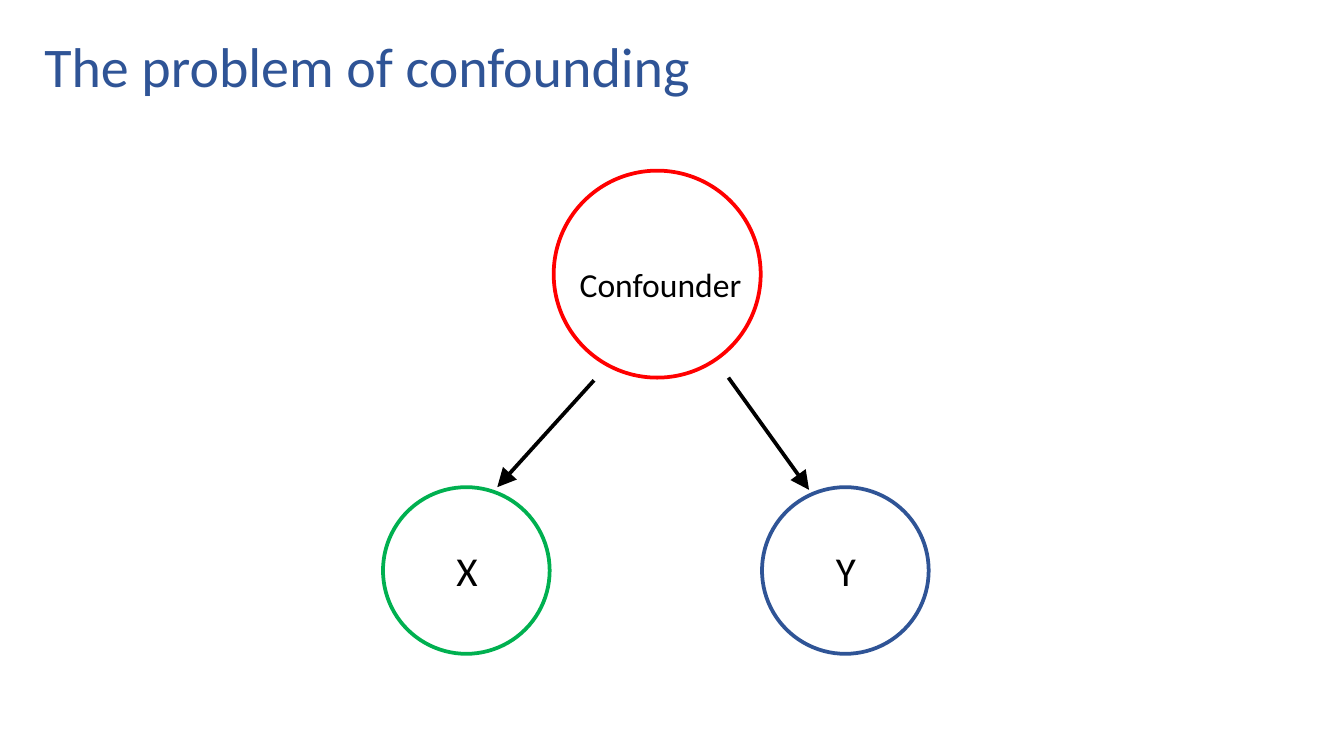
from pptx import Presentation
from pptx.dml.color import RGBColor
from pptx.enum.shapes import MSO_CONNECTOR, MSO_SHAPE
from pptx.enum.text import MSO_ANCHOR, PP_ALIGN
from pptx.oxml.ns import qn
from pptx.util import Inches, Pt
from lxml import etree

ELLIPSE, STRAIGHT = MSO_SHAPE.OVAL, MSO_CONNECTOR.STRAIGHT
LEFT, CENTER = PP_ALIGN.LEFT, PP_ALIGN.CENTER
TOP = MSO_ANCHOR.TOP

SLIDE_WIDTH = Inches(10)
SLIDE_HEIGHT = SLIDE_WIDTH * 9 // 16
CELL = SLIDE_WIDTH // 100
FONT = "Calibri"
BLACK, BLUE, GREEN, RED = "000000", "2F5496", "00B050", "FF0000"
STROKE = 2

TITLE_BOX = (2.3, 1.9, 93.2, 6.3)
DIAGRAM_BOX = (28.5, 12.7, 40.6, 35.95)
VARIABLE_SIZE, CONFOUNDER_SIZE = 12.4, 15.4
VARIABLE_LABEL = (1.1, 3.6, 10.3, 5.9)
CONFOUNDER_LABEL = (-1.6, 6.25, 19.1, 4.3)


def grid(*cells):
    """Turn grid cells into slide lengths."""
    return [round(cell * CELL) for cell in cells]


def color(hex_code):
    """Return the colour for a hex string."""
    return RGBColor.from_string(hex_code)


def write(frame, wording, size, ink, align, spacing, margins):
    """Write one formatted line into a text frame."""
    frame.word_wrap = True
    frame.vertical_anchor = TOP
    frame.margin_left = frame.margin_right = Inches(margins[0])
    frame.margin_top = frame.margin_bottom = Inches(margins[1])
    line = frame.paragraphs[0]
    line.alignment, line.line_spacing = align, spacing
    line.space_before = Pt(0)
    run = line.add_run()
    run.text = wording
    run.font.name, run.font.size = FONT, Pt(size)
    run.font.color.rgb = color(ink)


def add_title(slide, box, wording):
    """Place the slide title in its box."""
    title = slide.shapes.title
    title.left, title.top, title.width, title.height = grid(*box)
    write(title.text_frame, wording, 30, BLUE, LEFT, 0.9, (0.1, 0.1))


def add_node(slide, left, top, diameter, ring, label_box, wording, size):
    """Draw a ringed node with its label placed relative to the ring."""
    circle = slide.shapes.add_shape(ELLIPSE, *grid(left, top, diameter, diameter))
    circle.shadow.inherit = False
    circle.fill.background()
    circle.line.color.rgb = color(ring)
    circle.line.width = Pt(STROKE)
    dx, dy, width, height = label_box
    label = slide.shapes.add_textbox(*grid(left + dx, top + dy, width, height))
    write(label.text_frame, wording, size, BLACK, CENTER, 1.1, (0.07, 0.04))


def add_arrow(slide, start, end):
    """Draw a black arrow between two grid points."""
    arrow = slide.shapes.add_connector(STRAIGHT, *grid(*start, *end))
    arrow.line.color.rgb = color(BLACK)
    arrow.line.width = Pt(STROKE)
    outline = arrow._element.spPr.find(qn("a:ln"))
    etree.SubElement(outline, qn("a:tailEnd"), type="triangle", w="lg", len="lg")
    etree.SubElement(arrow._element.spPr, qn("a:effectLst"))


def add_diagram(slide, box):
    """Draw the confounder above X and Y, with an arrow to each."""
    left, top, width, height = box
    right, bottom = left + width, top + height
    variable_top = bottom - VARIABLE_SIZE
    variables = (("X", left, GREEN), ("Y", right - VARIABLE_SIZE, BLUE))
    for wording, node_left, ring in variables:
        add_node(slide, node_left, variable_top, VARIABLE_SIZE, ring,
                 VARIABLE_LABEL, wording, 22)
    add_node(slide, left + 12.7, top, CONFOUNDER_SIZE, RED,
             CONFOUNDER_LABEL, "Confounder", 18)
    add_arrow(slide, (left + 15.7, top + 15.6), (left + 8.5, variable_top))
    add_arrow(slide, (left + 25.7, top + 15.4), (left + 31.7, variable_top + 0.2))


def main():
    """Build and save the confounding slide."""
    deck = Presentation()
    deck.slide_width, deck.slide_height = SLIDE_WIDTH, SLIDE_HEIGHT
    slide = deck.slides.add_slide(deck.slide_layouts.get_by_name("Title Only"))
    add_title(slide, TITLE_BOX, "The problem of confounding")
    add_diagram(slide, DIAGRAM_BOX)
    deck.save("out.pptx")


if __name__ == "__main__":
    main()
